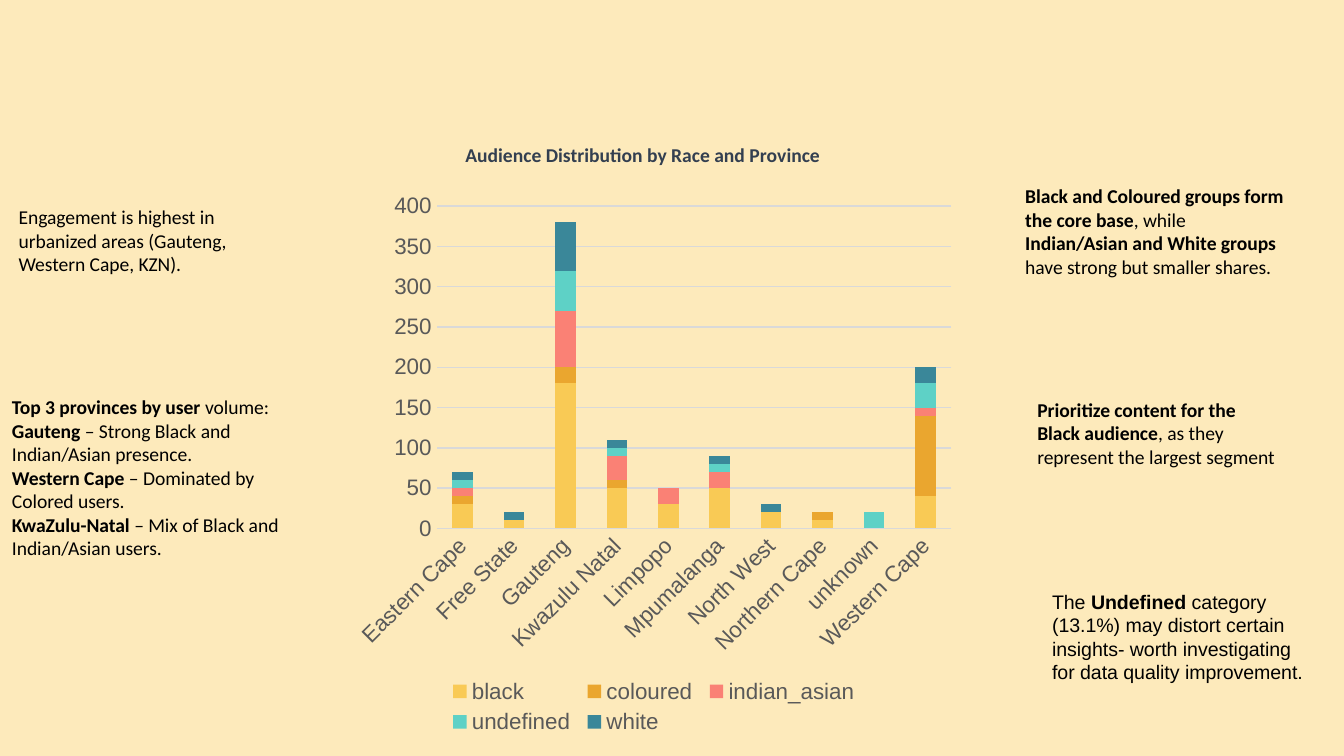
import lxml.etree
import pptx
import pptx.chart.data
import pptx.dml.color
import pptx.enum.chart
import pptx.enum.text
import pptx.oxml.ns
import pptx.util

Inches = pptx.util.Inches
COLOURS = {
    "background": "FDEABB", "text": "000000", "title": "333F50",
    "label": "595959", "grid": "D9D9D9", "black": "F9CA55",
    "coloured": "EAA62F", "indian_asian": "FA8175",
    "undefined": "5ED1C6", "white": "3A8799",
}
PROVINCES = ["Eastern Cape", "Free State", "Gauteng", "Kwazulu Natal", "Limpopo",
             "Mpumalanga", "North West", "Northern Cape", "unknown", "Western Cape"]
AUDIENCE = {
    "black": [30, 10, 180, 50, 30, 50, 20, 10, None, 40],
    "coloured": [10, 0, 20, 10, 0, 0, None, 10, None, 100],
    "indian_asian": [10, 0, 70, 30, 20, 20, 0, None, None, 10],
    "undefined": [10, 0, 50, 10, 0, 10, None, 0, 20, 30],
    "white": [10, 10, 60, 10, 0, 10, 10, 0, None, 20],
}
NOTE_FORMAT = {"name": "Calibri", "size": pptx.util.Pt(10.5)}
LABEL_FORMAT = {"name": "Arial", "size": pptx.util.Pt(12), "bold": False}
CENTRED = {"vertical_anchor": pptx.enum.text.MSO_ANCHOR.MIDDLE,
           "margin_top": Inches(0.1), "margin_bottom": Inches(0.1)}
TOP = {"vertical_anchor": pptx.enum.text.MSO_ANCHOR.TOP}
NOTES = [
    {"box": (7.62, 2.59, 2, 1.26), "frame": CENTRED, "font": "Calibri", "paragraphs": [
        [("Prioritize content for the Black audience", True),
         (", as they represent the largest segment", False)]]},
    {"box": (0.04, 1.16, 1.81, 1.26), "frame": CENTRED, "font": "Calibri", "paragraphs": [
        [("Engagement is highest in urbanized areas (Gauteng, Western Cape, KZN).", False)]]},
    {"box": (7.53, 0.56, 2.19, 2.32), "frame": CENTRED, "font": "Calibri", "paragraphs": [
        [("Black and Coloured groups form the core base", True), (", while ", False),
         ("Indian/Asian and White groups", True),
         (" have strong but smaller shares.", False)]]},
    {"box": (-0.01, 2.89, 2.35, 1.93), "frame": TOP, "font": "Calibri", "paragraphs": [
        [("Top 3 provinces by user ", True), ("volume:", False)],
        [("Gauteng", True), (" – Strong Black and Indian/Asian presence.", False)],
        [("Western Cape", True), (" – Dominated by Colored users.", False)],
        [("KwaZulu-Natal", True), (" – Mix of Black and Indian/Asian users.", False)]]},
    {"box": (7.73, 4.34, 2.07, 1.16), "frame": TOP, "font": "Arial", "paragraphs": [
        [("The ", False), ("Undefined", True),
         (" category (13.1%) may distort certain insights- worth investigating "
          "for data quality improvement.", False)]]},
]


def colour(name):
    """Return the RGB colour stored under a name."""
    return pptx.dml.color.RGBColor.from_string(COLOURS[name])


def set_format(target, values):
    """Set every attribute in a dict of format values."""
    for name, value in values.items():
        setattr(target, name, value)


def set_font(font, values, colour_name):
    """Set a font's format values and colour."""
    set_format(font, values)
    font.color.rgb = colour(colour_name)


def set_line(line, colour_name):
    """Draw a thin line in a named colour."""
    line.color.rgb = colour(colour_name)
    line.width = pptx.util.Pt(0.75)


def set_layout(element, position, fractions, inner=False):
    """Place a chart part by fractions of the chart's size."""
    qn = pptx.oxml.ns.qn
    for existing in element.findall(qn("c:layout")):
        element.remove(existing)
    layout = lxml.etree.Element(qn("c:layout"))
    manual = lxml.etree.SubElement(layout, qn("c:manualLayout"))
    settings = {"layoutTarget": "inner"} if inner else {}
    settings.update({"xMode": "edge", "yMode": "edge"})
    settings.update(zip("xywh", map(str, fractions)))
    for name, value in settings.items():
        lxml.etree.SubElement(manual, qn("c:" + name)).set("val", value)
    element.insert(position, layout)


def add_note(slide, box, frame, font, paragraphs):
    """Write one commentary note in its box."""
    shape = slide.shapes.add_textbox(*map(Inches, box))
    text_frame = shape.text_frame
    set_format(text_frame, {"word_wrap": True, **frame})
    for index, parts in enumerate(paragraphs):
        paragraph = text_frame.add_paragraph() if index else text_frame.paragraphs[0]
        for text, bold in parts:
            run = paragraph.add_run()
            run.text = text
            set_font(run.font, {**NOTE_FORMAT, "name": font, "bold": bold}, "text")


def format_axes(chart):
    """Style both axes and slant the province names."""
    none = pptx.enum.chart.XL_TICK_MARK.NONE
    for axis in (chart.category_axis, chart.value_axis):
        set_format(axis, {"major_tick_mark": none, "minor_tick_mark": none})
        set_font(axis.tick_labels.font, LABEL_FORMAT, "label")
    set_line(chart.category_axis.format.line, "grid")
    body = chart.category_axis._element.find(".//" + pptx.oxml.ns.qn("a:bodyPr"))
    body.set("rot", "-2700000")
    set_format(chart.value_axis, {"minimum_scale": 0, "maximum_scale": 400, "major_unit": 50})
    chart.value_axis.format.line.fill.background()
    set_line(chart.value_axis.major_gridlines.format.line, "grid")


def add_audience_chart(slide, box):
    """Add the stacked columns of audience by province in a box."""
    data = pptx.chart.data.CategoryChartData()
    data.categories = PROVINCES
    for name, values in AUDIENCE.items():
        data.add_series(name, values)
    chart = slide.shapes.add_chart(
        pptx.enum.chart.XL_CHART_TYPE.COLUMN_STACKED, *map(Inches, box), data).chart
    set_font(chart.font, {"name": "Arial", "size": pptx.util.Pt(10)}, "text")
    plot = chart.plots[0]
    set_format(plot, {"gap_width": 150, "overlap": 100, "vary_by_categories": False})
    for series in plot.series:
        series.format.fill.solid()
        series.format.fill.fore_color.rgb = colour(series.name)
    format_axes(chart)

    title = chart.chart_title
    run = title.text_frame.paragraphs[0].add_run()
    run.text = "Audience Distribution by Race and Province"
    set_font(run.font, {**NOTE_FORMAT, "bold": True}, "title")

    chart.has_legend = True
    set_format(chart.legend, {"position": pptx.enum.chart.XL_LEGEND_POSITION.BOTTOM,
                              "include_in_layout": False})
    set_font(chart.legend.font, LABEL_FORMAT, "label")

    plot_area = chart._chartSpace.chart.plotArea
    set_layout(plot_area, 0, (0.15, 0.13, 0.83, 0.525), inner=True)
    set_layout(title._element, 1, (0.19, 0.02))
    set_layout(chart.legend._element, 1, (0.16, 0.89, 0.68, 0.11))


def build_slide(presentation):
    """Add the audience slide with its chart and notes."""
    slide = presentation.slides.add_slide(presentation.slide_layouts[6])
    slide.background.fill.solid()
    slide.background.fill.fore_color.rgb = colour("background")
    add_audience_chart(slide, (2.56, 0.94, 4.61, 4.57))
    for note in NOTES:
        add_note(slide, **note)


def main():
    """Build and save the presentation."""
    presentation = pptx.Presentation()
    width = Inches(10)
    set_format(presentation, {"slide_width": width, "slide_height": width * 9 // 16})
    build_slide(presentation)
    presentation.save("out.pptx")


if __name__ == "__main__":
    main()
